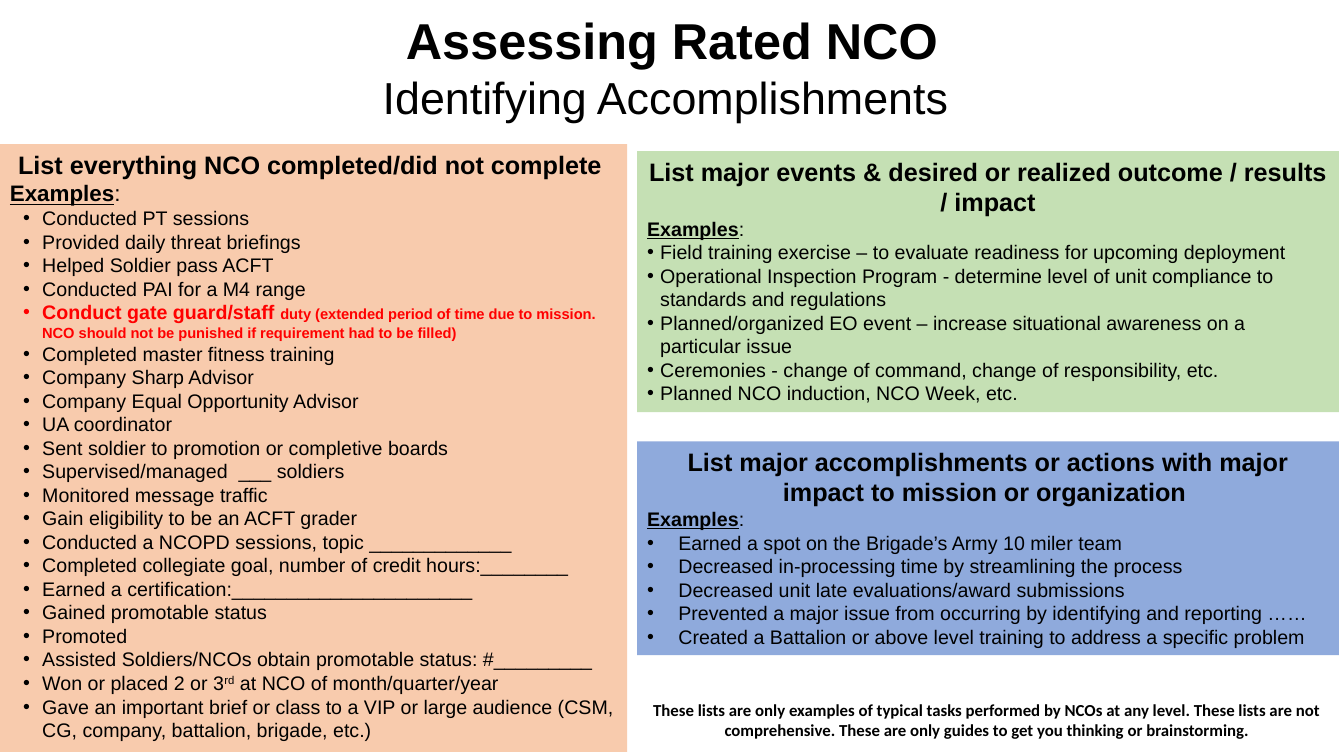
from dataclasses import dataclass, replace

from lxml.etree import SubElement
from pptx import Presentation
from pptx.dml.color import RGBColor
from pptx.enum.shapes import MSO_SHAPE as Shape
from pptx.enum.text import MSO_ANCHOR as Anchor
from pptx.enum.text import MSO_AUTO_SIZE as AutoSize
from pptx.enum.text import PP_ALIGN as Align
from pptx.oxml.ns import qn
from pptx.util import Inches, Pt

BLACK = RGBColor(0x00, 0x00, 0x00)
RED = RGBColor(0xFF, 0x00, 0x00)
PEACH = RGBColor(0xF8, 0xCB, 0xAD)
GREEN = RGBColor(0xC5, 0xE0, 0xB4)
BLUE = RGBColor(0x8F, 0xAA, 0xDC)

RIGHT_COLUMN = 6.32
RIGHT_WIDTH = 6.96


@dataclass(frozen=True)
class Run:
    text: str
    size: float = 14
    bold: bool = False
    underline: bool = False
    color: RGBColor = BLACK
    superscript: bool = False
    font: str = "Arial"


@dataclass(frozen=True)
class Box:
    left: float
    top: float
    width: float
    height: float


@dataclass(frozen=True)
class Panel:
    box: Box
    fill: RGBColor
    heading: str
    label_size: float
    margin: float
    indent: float
    level: int
    items: list[str | list[Run]]


GATE_GUARD = Run("Conduct gate guard/staff ", bold=True, color=RED)

PANELS = [
    Panel(
        Box(0, 1.43, 6.22, 6.03), PEACH,
        "List everything NCO completed/did not complete ",
        label_size=16, margin=0.32, indent=0.19, level=1,
        items=[
            "Conducted PT sessions",
            "Provided daily threat briefings",
            "Helped Soldier pass ACFT",
            "Conducted PAI for a M4 range",
            [
                GATE_GUARD,
                replace(
                    GATE_GUARD, size=10.5,
                    text="duty (extended period of time due to mission. "
                    "NCO should not be punished if requirement had to be filled)",
                ),
            ],
            "Completed master fitness training",
            "Company Sharp Advisor",
            "Company Equal Opportunity Advisor",
            "UA coordinator",
            "Sent soldier to promotion or completive boards",
            "Supervised/managed  ___ soldiers",
            "Monitored message traffic",
            "Gain eligibility to be an ACFT grader",
            "Conducted a NCOPD sessions, topic _____________",
            "Completed collegiate goal, number of credit hours:________",
            "Earned a certification:______________________",
            "Gained promotable status",
            "Promoted",
            "Assisted Soldiers/NCOs obtain promotable status: #_________",
            [
                Run("Won or placed 2 or 3"),
                Run("rd", superscript=True),
                Run(" at NCO of month/quarter/year"),
            ],
            "Gave an important brief or class to a VIP or large audience "
            "(CSM, CG, company, battalion, brigade, etc.)",
        ],
    ),
    Panel(
        Box(RIGHT_COLUMN, 1.5, RIGHT_WIDTH, 2.59), GREEN,
        "List major events & desired or realized outcome / results / impact",
        label_size=14, margin=0.13, indent=0.13, level=0,
        items=[
            "Field training exercise – to evaluate readiness for upcoming deployment",
            "Operational Inspection Program - determine level of unit compliance to "
            "standards and regulations",
            "Planned/organized EO event – increase situational awareness on a "
            "particular issue",
            "Ceremonies - change of command, change of responsibility, etc.",
            "Planned NCO induction, NCO Week, etc.",
        ],
    ),
    Panel(
        Box(RIGHT_COLUMN, 4.38, RIGHT_WIDTH, 2.12), BLUE,
        "List major accomplishments or actions with major impact to mission or organization ",
        label_size=14, margin=0.31, indent=0.31, level=0,
        items=[
            "Earned a spot on the Brigade’s Army 10 miler team",
            "Decreased in-processing time by streamlining the process",
            "Decreased unit late evaluations/award submissions",
            "Prevented a major issue from occurring by identifying and reporting ……",
            "Created a Battalion or above level training to address a specific problem",
        ],
    ),
]


def inches(box: Box) -> tuple[Inches, ...]:
    return tuple(Inches(n) for n in (box.left, box.top, box.width, box.height))


def prepare_frame(shape):
    """Make the text wrap from the top and return its frame."""
    frame = shape.text_frame
    frame.word_wrap = True
    frame.auto_size = AutoSize.SHAPE_TO_FIT_TEXT
    frame.vertical_anchor = Anchor.TOP
    return frame


def write_paragraph(paragraph, runs: list[Run], align: Align = Align.LEFT) -> None:
    paragraph.alignment = align
    for item in runs:
        run = paragraph.add_run()
        run.text = item.text
        run.font.name = item.font
        run.font.size = Pt(item.size)
        run.font.bold = item.bold
        run.font.underline = item.underline
        run.font.color.rgb = item.color
        if item.superscript:
            run.font._element.set("baseline", "30000")


def add_bullet(paragraph, margin: float, indent: float) -> None:
    properties = paragraph._p.get_or_add_pPr()
    properties.set("marL", str(Inches(margin)))
    properties.set("indent", str(-Inches(indent)))
    SubElement(properties, qn("a:buFont")).set("typeface", "Arial")
    SubElement(properties, qn("a:buChar")).set("char", "•")


def add_centered_text(slide, box: Box, lines: list[Run]) -> None:
    frame = prepare_frame(slide.shapes.add_textbox(*inches(box)))
    for index, line in enumerate(lines):
        paragraph = frame.add_paragraph() if index else frame.paragraphs[0]
        write_paragraph(paragraph, [line], Align.CENTER)


def add_panel(slide, panel: Panel) -> None:
    shape = slide.shapes.add_shape(Shape.RECTANGLE, *inches(panel.box))
    shape.shadow.inherit = False
    shape.fill.solid()
    shape.fill.fore_color.rgb = panel.fill
    shape.line.fill.background()

    frame = prepare_frame(shape)
    heading = Run(panel.heading, size=18, bold=True)
    write_paragraph(frame.paragraphs[0], [heading], Align.CENTER)
    label = Run("Examples", size=panel.label_size, bold=True, underline=True)
    colon = Run(":", size=panel.label_size)
    write_paragraph(frame.add_paragraph(), [label, colon])
    for item in panel.items:
        paragraph = frame.add_paragraph()
        paragraph.level = panel.level
        add_bullet(paragraph, panel.margin, panel.indent)
        write_paragraph(paragraph, [Run(item)] if isinstance(item, str) else item)


def main() -> None:
    presentation = Presentation()
    presentation.slide_width = Inches(13.33)
    presentation.slide_height = Inches(7.5)
    slide = presentation.slides.add_slide(presentation.slide_layouts[6])

    add_centered_text(slide, Box(0, 0.04, 13.33, 1.25), [
        Run("Assessing Rated NCO", size=36, bold=True),
        Run("Identifying Accomplishments ", size=32),
    ])
    for panel in PANELS:
        add_panel(slide, panel)
    add_centered_text(slide, Box(RIGHT_COLUMN, 6.89, 6.94, 0.5), [
        Run(
            "These lists are only examples of typical tasks performed by NCOs at any level. "
            "These lists are not comprehensive. "
            "These are only guides to get you thinking or brainstorming.",
            size=12, bold=True, font="Calibri",
        ),
    ])
    presentation.save("out.pptx")


if __name__ == "__main__":
    main()
